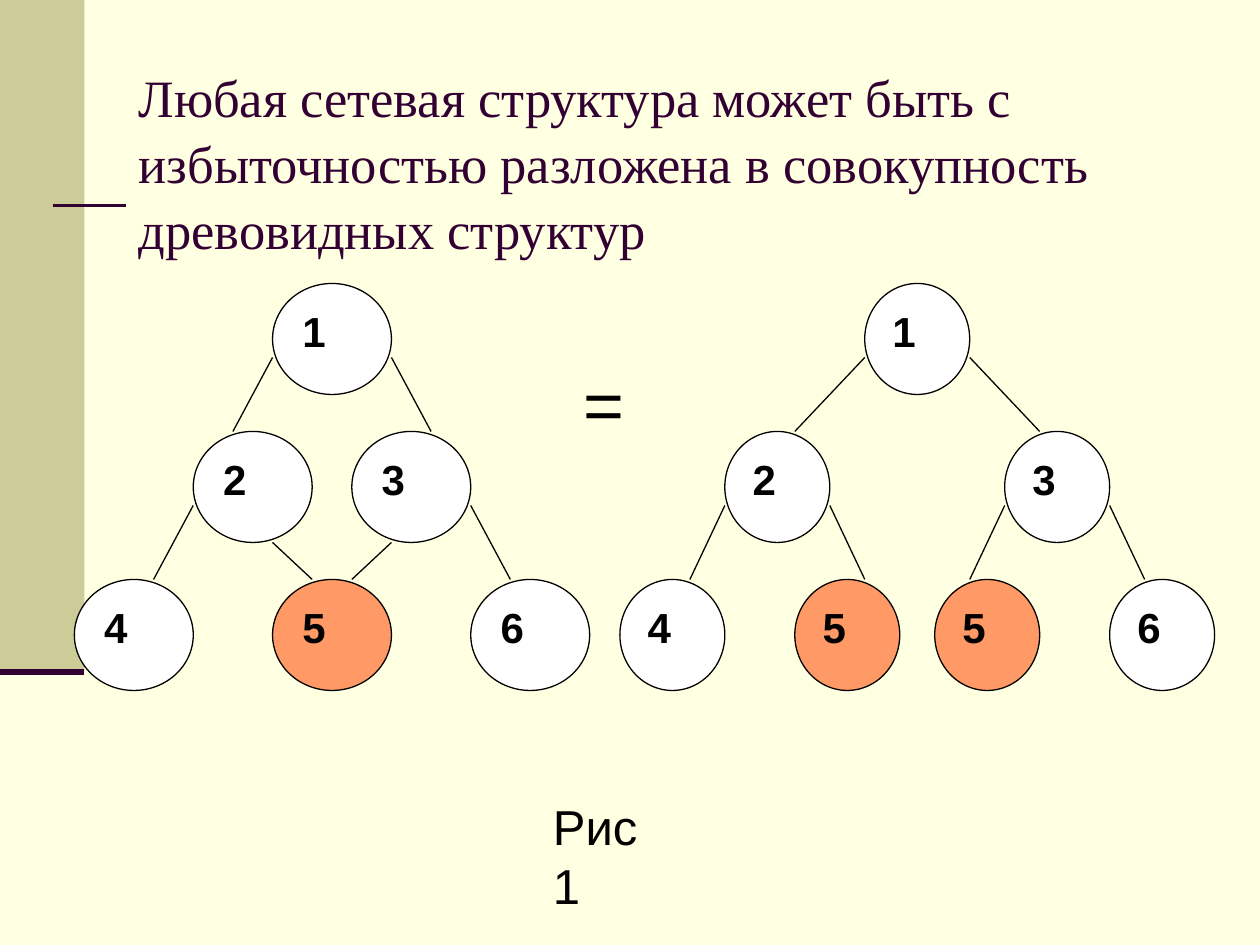
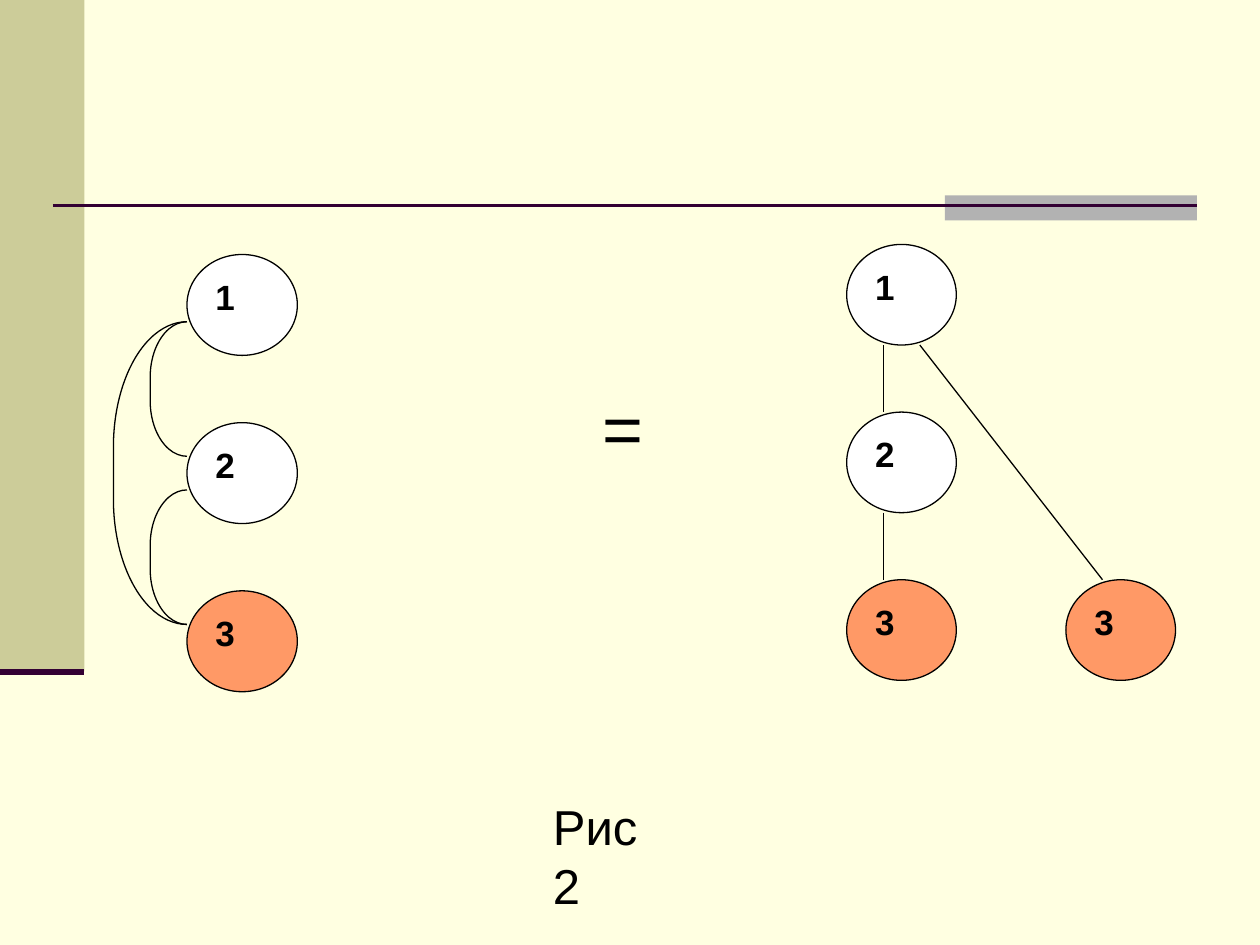
from dataclasses import dataclass

from lxml.etree import SubElement
from pptx import Presentation
from pptx.dml.color import RGBColor
from pptx.enum.shapes import MSO_CONNECTOR, MSO_SHAPE
from pptx.enum.text import MSO_ANCHOR, MSO_AUTO_SIZE, PP_ALIGN
from pptx.oxml.ns import qn
from pptx.util import Inches, Pt

CREAM = RGBColor(0xFF, 0xFF, 0xE1)
OLIVE = RGBColor(0xCC, 0xCC, 0x99)
GRAY = RGBColor(0xB2, 0xB2, 0xB2)
PLUM = RGBColor(0x33, 0x00, 0x33)
BLACK = RGBColor(0x00, 0x00, 0x00)
WHITE = RGBColor(0xFF, 0xFF, 0xFF)
ORANGE = RGBColor(0xFF, 0x99, 0x66)

BODY_FONT = "Arial"
TITLE_FONT = "Times New Roman"
TITLE_ONLY, BLANK = 5, 6
NODE_CELLS = 3
BRACKET_CORNER = 0.414


@dataclass
class Grid:
    """A box divided into equal columns and rows."""
    left: float
    top: float
    width: float
    height: float
    columns: int
    rows: int

    def point(self, column, row):
        """Return the position of a grid crossing in inches."""
        return (self.left + self.width * column / self.columns,
                self.top + self.height * row / self.rows)

    def box(self, column, row, columns, rows):
        """Return the box that covers a block of cells."""
        return (*self.point(column, row), self.width * columns / self.columns,
                self.height * rows / self.rows)


def add_line(slide, start, end, color=BLACK, weight=0.75):
    """Draw a straight line without shadow."""
    line = slide.shapes.add_connector(
        MSO_CONNECTOR.STRAIGHT, *map(Inches, (*start, *end)))
    line.line.color.rgb = color
    line.line.width = Pt(weight)
    SubElement(line.element.spPr, qn("a:effectLst"))


def add_filled(slide, kind, box, fill, outline=None):
    """Draw a preset shape, with an optional thin outline."""
    shape = slide.shapes.add_shape(kind, *map(Inches, box))
    shape.shadow.inherit = False
    if fill is None:
        shape.fill.background()
    else:
        shape.fill.solid()
        shape.fill.fore_color.rgb = fill
    if outline is None:
        shape.line.fill.background()
    else:
        shape.line.color.rgb = outline
        shape.line.width = Pt(0.75)
    return shape


def write(shape, text, size, bold=False, font=BODY_FONT, color=BLACK,
          anchor=MSO_ANCHOR.TOP, wrap=True):
    """Put one left-aligned paragraph into a shape."""
    frame = shape.text_frame
    frame.text = text
    frame.word_wrap = wrap
    frame.vertical_anchor = anchor
    paragraph = frame.paragraphs[0]
    paragraph.alignment = PP_ALIGN.LEFT
    paragraph.font.name = font
    paragraph.font.size = Pt(size)
    paragraph.font.bold = bold
    paragraph.font.color.rgb = color


def add_frame(slide):
    """Draw the side band and the rules that every slide has."""
    add_filled(slide, MSO_SHAPE.RECTANGLE, (0, 0, 0.67, 5.33), OLIVE)
    add_filled(slide, MSO_SHAPE.RECTANGLE, (7.5, 1.55, 2, 0.2), GRAY)
    add_line(slide, (0.42, 1.63), (9.5, 1.63), PLUM, 1.5)
    add_line(slide, (0, 5.33), (0.67, 5.33), PLUM, 3.5)


def add_title(slide, text, box):
    """Fill the title placeholder and lay it over the frame."""
    title = slide.shapes.title
    title.left, title.top, title.width, title.height = map(Inches, box)
    title.fill.solid()
    title.fill.fore_color.rgb = CREAM
    write(title, text, 30, font=TITLE_FONT, color=PLUM, anchor=MSO_ANCHOR.MIDDLE)
    title.text_frame.auto_size = MSO_AUTO_SIZE.NONE
    title.text_frame.paragraphs[0].line_spacing = 1.05
    title.element.getparent().append(title.element)


def add_graph(slide, grid, nodes, edges, repeated, size):
    """Draw numbered nodes and straight edges, highlighting the repeated node."""
    for label, column, row in nodes:
        fill = ORANGE if label == repeated else WHITE
        box = grid.box(column, row, NODE_CELLS, NODE_CELLS)
        node = add_filled(slide, MSO_SHAPE.OVAL, box, fill, BLACK)
        write(node, label, size, bold=True)
    for start, end in edges:
        add_line(slide, grid.point(*start), grid.point(*end))


def add_loops(slide, grid, loops):
    """Draw the curved edges on the left of a node column."""
    for cells in loops:
        box = grid.box(*cells)
        loop = add_filled(slide, MSO_SHAPE.LEFT_BRACKET, box, None, BLACK)
        loop.adjustments[0] = BRACKET_CORNER * box[3] / box[2]


def add_equals(slide, box):
    """Draw the equals sign between two graphs."""
    write(add_filled(slide, MSO_SHAPE.RECTANGLE, box, CREAM), "=", 40)


def add_caption(slide, text):
    """Write the figure caption."""
    caption = slide.shapes.add_textbox(*map(Inches, (4.29, 6.27, 1.19, 0.57)))
    write(caption, text, 28, wrap=False)
    caption.text_frame.auto_size = MSO_AUTO_SIZE.SHAPE_TO_FIT_TEXT


def build_network_slide(presentation):
    """Show a network split into a tree with a repeated node 5."""
    slide = presentation.slides.add_slide(presentation.slide_layouts[TITLE_ONLY])
    add_frame(slide)
    add_title(slide, "Любая сетевая структура может быть с избыточностью "
                     "разложена в совокупность древовидных структур",
              (1, 0.3, 8.5, 1.95))
    add_graph(
        slide, Grid(0.59, 2.25, 4.09, 3.23, 13, 11),
        [("1", 5, 0), ("2", 3, 4), ("3", 7, 4),
         ("4", 0, 8), ("5", 5, 8), ("6", 10, 8)],
        [((5, 2), (4, 4)), ((8, 2), (9, 4)), ((3, 6), (2, 8)),
         ((5, 7), (6, 8)), ((8, 7), (7, 8)), ((10, 6), (11, 8))],
        "5", 24)
    add_graph(
        slide, Grid(4.92, 2.25, 4.72, 3.23, 17, 11),
        [("1", 7, 0), ("2", 3, 4), ("3", 11, 4),
         ("4", 0, 8), ("5", 5, 8), ("5", 9, 8), ("6", 14, 8)],
        [((7, 2), (5, 4)), ((10, 2), (12, 4)), ((3, 6), (2, 8)),
         ((6, 6), (7, 8)), ((11, 6), (10, 8)), ((14, 6), (15, 8))],
        "5", 24)
    add_equals(slide, (4.53, 2.81, 0.64, 0.67))
    add_caption(slide, "Рис 1")


def build_chain_slide(presentation):
    """Show a chain with loops split into a tree with a repeated node 3."""
    slide = presentation.slides.add_slide(presentation.slide_layouts[BLANK])
    add_frame(slide)
    chain = Grid(0.9, 2.02, 1.46, 3.47, 5, 13)
    add_graph(slide, chain, [("1", 2, 0), ("2", 2, 5), ("3", 2, 10)], [], "3", 20)
    add_loops(slide, chain, [(1, 2, 1, 4), (1, 7, 1, 4), (0, 2, 2, 9)])
    add_graph(
        slide, Grid(6.72, 1.94, 2.61, 3.46, 9, 13),
        [("1", 0, 0), ("2", 0, 5), ("3", 0, 10), ("3", 6, 10)],
        [((1, 3), (1, 5)), ((1, 8), (1, 10)), ((2, 3), (7, 10))],
        "3", 20)
    add_equals(slide, (4.68, 3, 0.87, 0.8))
    add_caption(slide, "Рис 2")


def main():
    """Build and save the presentation."""
    presentation = Presentation()
    presentation.slide_width = Inches(10)
    presentation.slide_height = Inches(7.5)
    background = presentation.slide_master.background.fill
    background.solid()
    background.fore_color.rgb = CREAM
    build_network_slide(presentation)
    build_chain_slide(presentation)
    presentation.save("out.pptx")


if __name__ == "__main__":
    main()
